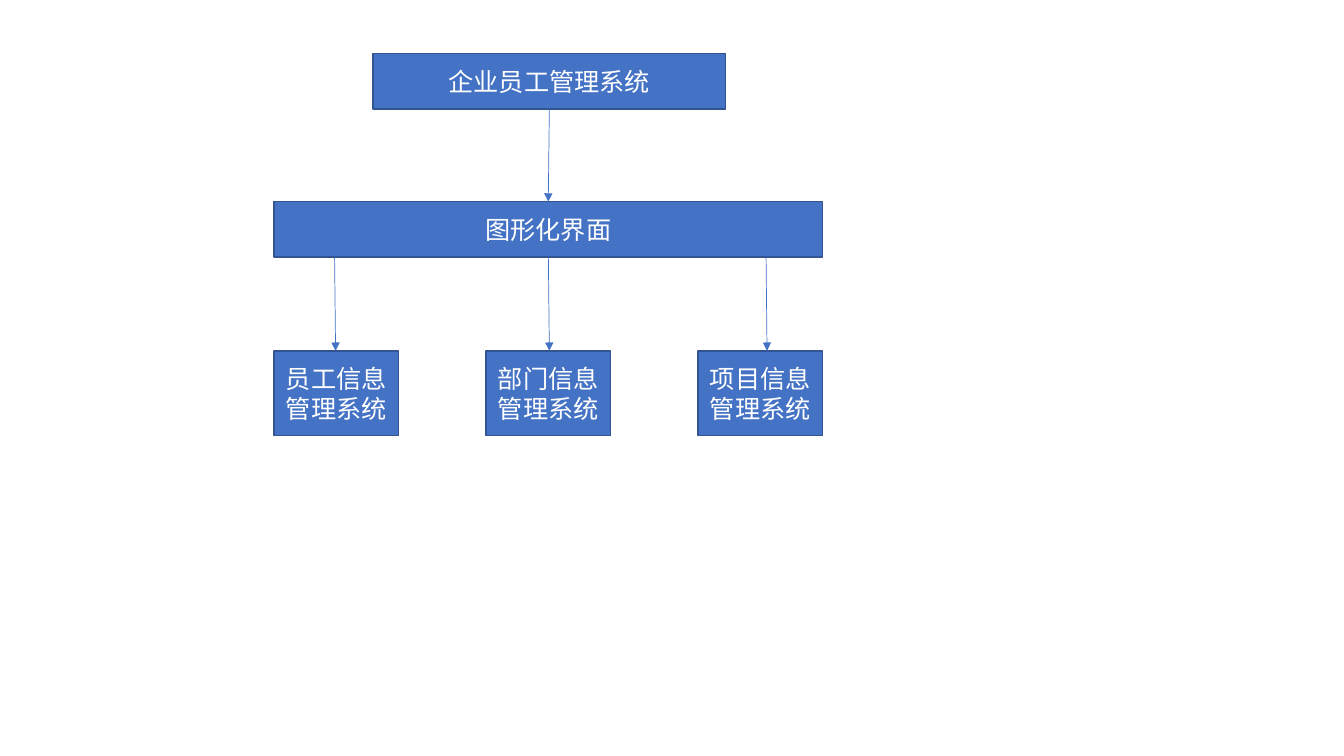
from lxml import etree
from pptx import Presentation
from pptx.dml.color import RGBColor
from pptx.enum import shapes, text
from pptx.oxml.ns import qn
from pptx.util import Pt

SYSTEM = "企业员工管理系统"
INTERFACE = "图形化界面"
# Module name, x of the arrow's start and end
MODULES = [
    ("员工信息管理系统", 239, 239.7),
    ("部门信息管理系统", 391.7, 392.4),
    ("项目信息管理系统", 547.2, 547.9),
]

FONT = "Noto Sans CJK SC"
BLUE = RGBColor(0x44, 0x72, 0xC4)
DARK_BLUE = RGBColor(0x32, 0x54, 0x91)
WHITE = RGBColor(0xFF, 0xFF, 0xFF)

BAR_H = 39.6
SYSTEM_X, SYSTEM_Y, SYSTEM_W = 266.4, 38.2, 252
INTERFACE_X, INTERFACE_Y, INTERFACE_W = 195.8, 144, 391.7
MODULE_Y, MODULE_W, MODULE_H = 250.6, 88.8, 60.5


def write(tf, content, size=18, color=WHITE, font=FONT):
    tf.word_wrap = True
    tf.vertical_anchor = text.MSO_ANCHOR.MIDDLE
    p = tf.paragraphs[0]
    p.alignment = text.PP_ALIGN.CENTER
    r = p.add_run()
    r.text = content
    r.font.size = Pt(size)
    r.font.color.rgb = color
    r.font.name = font
    etree.SubElement(r.font._element, qn("a:ea"), typeface=font)


def add_box(s, content, x, y, w, h):
    sp = s.shapes.add_shape(
        shapes.MSO_SHAPE.RECTANGLE, Pt(x), Pt(y), Pt(w), Pt(h))
    sp.shadow.inherit = False
    sp.fill.solid()
    sp.fill.fore_color.rgb = BLUE
    sp.line.color.rgb = DARK_BLUE
    sp.line.width = Pt(1)
    write(sp.text_frame, content)


def add_arrow(s, x1, y1, x2, y2):
    arrow = s.shapes.add_connector(
        shapes.MSO_CONNECTOR.STRAIGHT, Pt(x1), Pt(y1), Pt(x2), Pt(y2))
    arrow.line.color.rgb = BLUE
    arrow.line.width = Pt(0.5)
    etree.SubElement(arrow.line._get_or_add_ln(), qn("a:tailEnd"), type="triangle")
    etree.SubElement(arrow._element.spPr, qn("a:effectLst"))


def main():
    prs = Presentation()
    prs.slide_width, prs.slide_height = Pt(960), Pt(540)
    s = prs.slides.add_slide(prs.slide_layouts[6])

    add_box(s, SYSTEM, SYSTEM_X, SYSTEM_Y, SYSTEM_W, BAR_H)
    add_box(s, INTERFACE, INTERFACE_X, INTERFACE_Y, INTERFACE_W, BAR_H)
    add_arrow(s, SYSTEM_X + SYSTEM_W / 2, SYSTEM_Y + BAR_H,
              INTERFACE_X + INTERFACE_W / 2, INTERFACE_Y)

    step = (INTERFACE_W - MODULE_W) / (len(MODULES) - 1)
    for i, (name, start_x, end_x) in enumerate(MODULES):
        add_box(s, name, INTERFACE_X + i * step, MODULE_Y, MODULE_W, MODULE_H)
        add_arrow(s, start_x, INTERFACE_Y + BAR_H, end_x, MODULE_Y)

    prs.save("out.pptx")


if __name__ == "__main__":
    main()
